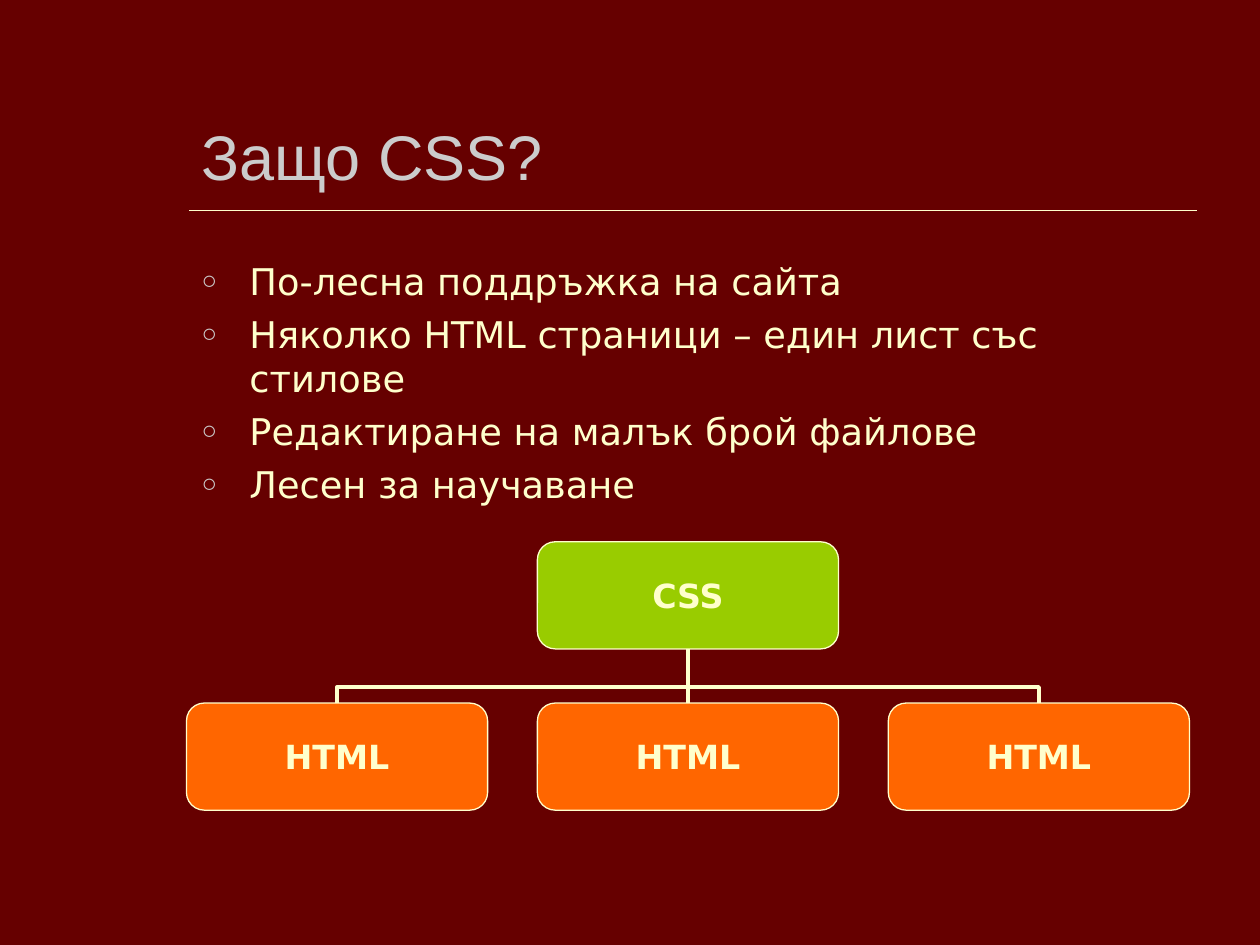
import lxml.etree
import pptx
import pptx.dml.color
import pptx.enum.shapes
import pptx.enum.text
import pptx.oxml.ns
import pptx.util

Inches = pptx.util.Inches
RGBColor = pptx.dml.color.RGBColor
SHAPE = pptx.enum.shapes.MSO_SHAPE
CONNECTOR = pptx.enum.shapes.MSO_CONNECTOR
ALIGN = pptx.enum.text.PP_ALIGN
ANCHOR = pptx.enum.text.MSO_ANCHOR

MAROON = RGBColor(0x66, 0x00, 0x00)
CREAM = RGBColor(0xFF, 0xFF, 0xCC)
SILVER = RGBColor(0xCC, 0xCC, 0xCC)
GREEN = RGBColor(0x99, 0xCC, 0x00)
ORANGE = RGBColor(0xFF, 0x66, 0x00)

BOX_WIDTH, BOX_HEIGHT = 2.39, 0.85
ROOT_TOP, CHILD_TOP = 4.3, 5.58
CHILD_LEFT, CHILD_STEP = 1.48, 2.785
BEND = 0.293

BULLETS = [
    "По-лесна поддръжка на сайта",
    "Няколко HTML страници – един лист със стилове",
    "Редактиране на малък брой файлове",
    "Лесен за научаване",
]


def add_xml(parent, tag, **attributes):
    """Append a DrawingML element to parent and return it."""
    return lxml.etree.SubElement(parent, pptx.oxml.ns.qn(tag), attributes)


def write_text(para, text, *, size, color=CREAM, font="DejaVu Sans", bold=False, align=ALIGN.LEFT):
    """Put one formatted run of text into a paragraph."""
    para.alignment = align
    span = para.add_run()
    span.text = text
    span.font.name = font
    span.font.size = pptx.util.Pt(size)
    span.font.bold = bold
    span.font.color.rgb = color


def place(holder, left, top, width, height, anchor):
    """Move a placeholder and return its text frame."""
    holder.left, holder.top = Inches(left), Inches(top)
    holder.width, holder.height = Inches(width), Inches(height)
    frame = holder.text_frame
    frame.auto_size = pptx.enum.text.MSO_AUTO_SIZE.NONE
    frame.vertical_anchor = anchor
    return frame


def fill_bullets(frame, items):
    """Write the items as a list with small ring bullets."""
    for number, item in enumerate(items):
        para = frame.add_paragraph() if number else frame.paragraphs[0]
        write_text(para, item, size=21)
        para.space_before = pptx.util.Pt(5.2)
        properties = para._p.get_or_add_pPr()
        properties.set("marL", str(Inches(0.38)))
        properties.set("indent", str(Inches(-0.38)))
        add_xml(add_xml(properties, "a:buClr"), "a:srgbClr", val=str(SILVER))
        add_xml(properties, "a:buSzPct", val="70000")
        add_xml(properties, "a:buChar", char="○")


def add_box(page, text, left, top, color):
    """Add a rounded box with a centred bold label."""
    box = page.shapes.add_shape(
        SHAPE.ROUNDED_RECTANGLE, Inches(left), Inches(top), Inches(BOX_WIDTH), Inches(BOX_HEIGHT)
    )
    box.shadow.inherit = False
    box.fill.solid()
    box.fill.fore_color.rgb = color
    box.line.color.rgb = CREAM
    box.line.width = pptx.util.Pt(0.75)
    frame = box.text_frame
    frame.margin_left = frame.margin_right = frame.margin_top = frame.margin_bottom = 0
    frame.word_wrap = False
    frame.vertical_anchor = ANCHOR.MIDDLE
    write_text(frame.paragraphs[0], text, size=19, bold=True, align=ALIGN.CENTER)
    return box


def add_line(page, kind, start, end, weight):
    """Add a cream connector without a shadow."""
    line = page.shapes.add_connector(kind, *map(Inches, start), *map(Inches, end))
    line.line.color.rgb = CREAM
    line.line.width = pptx.util.Pt(weight)
    add_xml(line._element.spPr, "a:effectLst")
    return line


def join(page, child, root):
    """Connect the top of a child box to the bottom of the root box."""
    straight = child.left == root.left
    kind = CONNECTOR.STRAIGHT if straight else CONNECTOR.ELBOW
    line = add_line(page, kind, (0, 0), (0, 0), 2.25)
    line.begin_connect(child, 0)
    line.end_connect(root, 2)
    if not straight:
        turn_upright(line, child.left < root.left)


def turn_upright(line, from_left):
    """Rotate an elbow so that it leaves and arrives vertically."""
    center_x, center_y = line.left + line.width // 2, line.top + line.height // 2
    line.width, line.height = line.height, line.width
    line.left, line.top = center_x - line.width // 2, center_y - line.height // 2
    properties = line._element.spPr
    frame = properties.find(pptx.oxml.ns.qn("a:xfrm"))
    frame.set("rot", str((90 if from_left else 270) * 60000))
    frame.set("flipH", "1" if from_left else "0")
    frame.set("flipV", "1")
    guides = properties.find(".//" + pptx.oxml.ns.qn("a:avLst"))
    add_xml(guides, "a:gd", name="adj1", fmla=f"val {round(BEND * 100000)}")


def main():
    """Build the slide and save the deck."""
    deck = pptx.Presentation()
    deck.slide_width, deck.slide_height = Inches(10), Inches(7.5)
    page = deck.slides.add_slide(deck.slide_layouts[1])
    page.background.fill.solid()
    page.background.fill.fore_color.rgb = MAROON

    title = place(page.shapes.title, 1.5, 0.33, 8, 1.25, ANCHOR.BOTTOM)
    write_text(title.paragraphs[0], "Защо CSS?", size=36, color=SILVER, font="Arial")
    add_line(page, CONNECTOR.STRAIGHT, (1.5, 1.67), (9.5, 1.67), 1)
    fill_bullets(place(page.placeholders[1], 1.5, 2, 8, 2.17, ANCHOR.TOP), BULLETS)

    root = add_box(page, "CSS", CHILD_LEFT + CHILD_STEP, ROOT_TOP, GREEN)
    for column in range(3):
        child = add_box(page, "HTML", CHILD_LEFT + column * CHILD_STEP, CHILD_TOP, ORANGE)
        join(page, child, root)

    deck.save("out.pptx")


if __name__ == "__main__":
    main()
